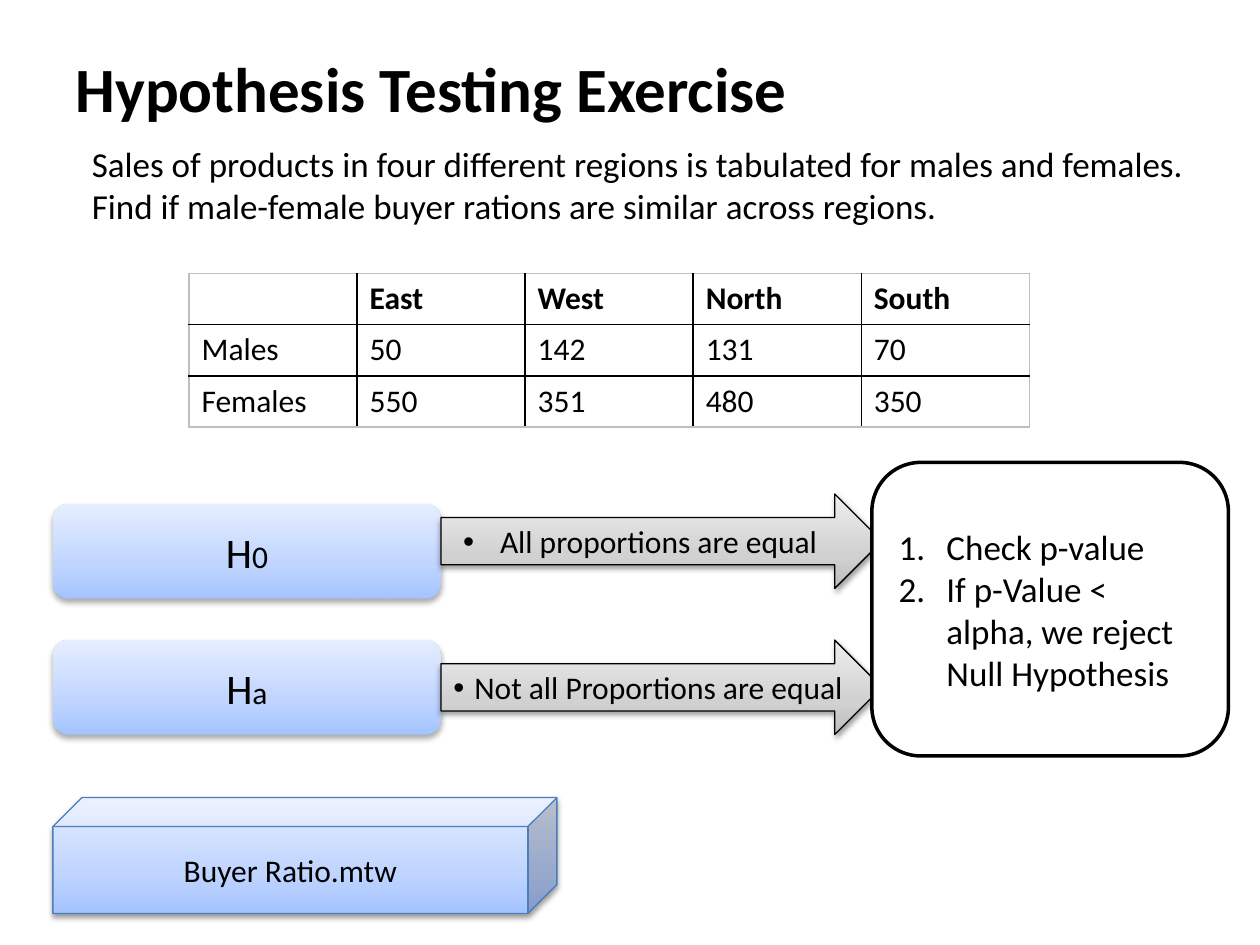
from dataclasses import dataclass
from typing import Any, Optional

from lxml.etree import SubElement
from pptx import Presentation
from pptx.dml.color import RGBColor
from pptx.enum.shapes import MSO_SHAPE as Preset
from pptx.enum.text import MSO_ANCHOR as Anchor, PP_ALIGN as Align
from pptx.oxml.ns import qn
from pptx.util import Inches, Pt

COLORS = {"ink": "000000", "paper": "FFFFFF", "frame": "BFBFBF", "edge": "4B7EBC"}
BLUE = ((0, "A4C4FF"), (35, "BFD4FF"), (100, "E6EEFF"))
GRAY = ((0, "BDBDBD"), (35, "D1D1D1"), (100, "EEEEEE"))
SOFT = (32, 3.5, 2.2)
FIRM = (38, 3.1, 1.6)
ROWS = (
    ("", "East", "West", "North", "South"),
    ("Males", "50", "142", "131", "70"),
    ("Females", "550", "351", "480", "350"),
)
HANGING = 0.38


@dataclass
class Block:
    preset: Any
    place: tuple[float, float, float, float]
    spans: tuple[tuple[str, int], ...]
    stops: tuple[tuple[int, str], ...]
    shadow: tuple[int, float, float]
    line: Optional[str] = None
    bullet: bool = False


BLOCKS = (
    Block(Preset.ROUNDED_RECTANGLE, (0.42, 4, 3.08, 0.75), (("H", 24), ("0", 18)), BLUE, SOFT),
    Block(Preset.ROUNDED_RECTANGLE, (0.42, 5.08, 3.08, 0.75), (("H", 24), ("a", 18)), BLUE, SOFT),
    Block(Preset.RIGHT_ARROW, (3.5, 3.92, 3.5, 0.75),
          ((" All proportions are equal", 18),), GRAY, FIRM, "ink", True),
    Block(Preset.RIGHT_ARROW, (3.5, 5.08, 3.5, 0.75),
          ((" Not all Proportions are equal", 18),), GRAY, FIRM, "ink", True),
)
FILE_BLOCK = Block(Preset.CUBE, (0.42, 6.33, 4, 0.92), (("Buyer Ratio.mtw", 18),),
                   BLUE, FIRM, "edge")


def apply(target: Any, values: dict[str, Any]) -> None:
    for name, value in values.items():
        setattr(target, name, value)


def inches(place: tuple[float, ...]) -> list[int]:
    return [Inches(value) for value in place]


def write(para: Any, text: str, size: int, bold: bool = False) -> None:
    span = para.add_run()
    span.text = text
    apply(span.font, {"size": Pt(size), "name": "Calibri", "bold": bold})
    span.font.color.rgb = RGBColor.from_string(COLORS["ink"])


def indent(para: Any, margin: float, first: float) -> Any:
    properties = para._p.get_or_add_pPr()
    properties.set("marL", str(Inches(margin)))
    properties.set("indent", str(Inches(first)))
    return properties


def add_color(parent: Any, color: str) -> Any:
    return SubElement(parent, qn("a:srgbClr"), val=color)


def paint_gradient(shape: Any, stops: tuple[tuple[int, str], ...]) -> None:
    shape.fill.gradient()
    shape.fill.gradient_angle = 90
    stop_list = shape._element.spPr.find(qn("a:gradFill")).find(qn("a:gsLst"))
    for stop in list(stop_list):
        stop_list.remove(stop)
    for position, color in stops:
        add_color(SubElement(stop_list, qn("a:gs"), pos=str(position * 1000)), color)


def cast_shadow(shape: Any, shadow: tuple[int, float, float]) -> None:
    alpha, blur, distance = shadow
    effects = shape._element.spPr.find(qn("a:effectLst"))
    outer = SubElement(effects, qn("a:outerShdw"), blurRad=str(Pt(blur)),
                       dist=str(Pt(distance)), dir="5400000", rotWithShape="0")
    SubElement(add_color(outer, COLORS["ink"]), qn("a:alpha"), val=str(alpha * 1000))


def add_plain_shape(page: Any, preset: Any, place: tuple[float, ...],
                    line: Optional[str], width: float) -> Any:
    shape = page.shapes.add_shape(preset, *inches(place))
    shape.shadow.inherit = False
    if line:
        shape.line.color.rgb = RGBColor.from_string(COLORS[line])
        shape.line.width = Pt(width)
    else:
        shape.line.fill.background()
    apply(shape.text_frame, {"word_wrap": True, "vertical_anchor": Anchor.MIDDLE})
    return shape


def add_block(page: Any, block: Block) -> None:
    shape = add_plain_shape(page, block.preset, block.place, block.line, 0.75)
    paint_gradient(shape, block.stops)
    cast_shadow(shape, block.shadow)
    para = shape.text_frame.paragraphs[0]
    para.alignment = Align.CENTER
    if block.bullet:
        properties = para._p.get_or_add_pPr()
        SubElement(properties, qn("a:buFont"), typeface="Arial")
        SubElement(properties, qn("a:buChar"), char="•")
    for text, size in block.spans:
        write(para, text, size)


def add_steps(page: Any) -> None:
    shape = add_plain_shape(page, Preset.ROUNDED_RECTANGLE, (6.92, 3.67, 2.83, 2.33), "ink", 2)
    shape.fill.solid()
    shape.fill.fore_color.rgb = RGBColor.from_string(COLORS["paper"])
    frame = shape.text_frame
    steps = ("Check p-value", "If p-Value < alpha, we reject Null Hypothesis")
    for index, step in enumerate(steps):
        para = frame.add_paragraph() if index else frame.paragraphs[0]
        para.alignment = Align.LEFT
        properties = indent(para, HANGING, -HANGING)
        SubElement(properties, qn("a:buFont"), typeface="+mj-lt")
        SubElement(properties, qn("a:buAutoNum"), type="arabicPeriod")
        write(para, step, 20)


def add_border(cell: Any, side: str, color: str) -> None:
    border = SubElement(cell._tc.get_or_add_tcPr(), qn(f"a:{side}"), w=str(Pt(1)))
    add_color(SubElement(border, qn("a:solidFill")), COLORS[color])


def add_sales_table(page: Any) -> None:
    last_row, last_column = len(ROWS) - 1, len(ROWS[0]) - 1
    table = page.shapes.add_table(len(ROWS), len(ROWS[0]),
                                  *inches((1.5, 2.17, 6.67, 1.22))).table
    apply(table, {"first_row": False, "horz_banding": False})
    for row, values in enumerate(ROWS):
        for column, value in enumerate(values):
            cell = table.cell(row, column)
            outside = {"lnL": column == 0, "lnR": column == last_column,
                       "lnT": row == 0, "lnB": row == last_row}
            for side, is_outside in outside.items():
                add_border(cell, side, "frame" if is_outside else "ink")
            cell.fill.background()
            if value:
                write(cell.text_frame.paragraphs[0], value, 18, row == 0)


def add_heading(page: Any) -> None:
    title = page.shapes.title
    left, top, width, height = inches((0.5, 0.3, 9, 0.78))
    apply(title, {"left": left, "top": top, "width": width, "height": height})
    title.text_frame.vertical_anchor = Anchor.MIDDLE
    para = title.text_frame.paragraphs[0]
    para.alignment = Align.LEFT
    write(para, "Hypothesis Testing Exercise", 36, True)


def add_question(page: Any) -> None:
    box = page.shapes.add_textbox(*inches((0.25, 1.08, 9.58, 0.8)))
    box.text_frame.word_wrap = True
    para = box.text_frame.paragraphs[0]
    indent(para, HANGING, 0)
    write(para, "Sales of products in four different regions is tabulated for males and "
                "females. Find if male-female buyer rations are similar across regions.", 20)


def main() -> None:
    deck = Presentation()
    apply(deck, {"slide_width": Inches(10), "slide_height": Inches(7.5)})
    page = deck.slides.add_slide(deck.slide_layouts[5])
    add_heading(page)
    add_question(page)
    add_sales_table(page)
    for block in BLOCKS:
        add_block(page, block)
    add_steps(page)
    add_block(page, FILE_BLOCK)
    deck.save("out.pptx")


main()
